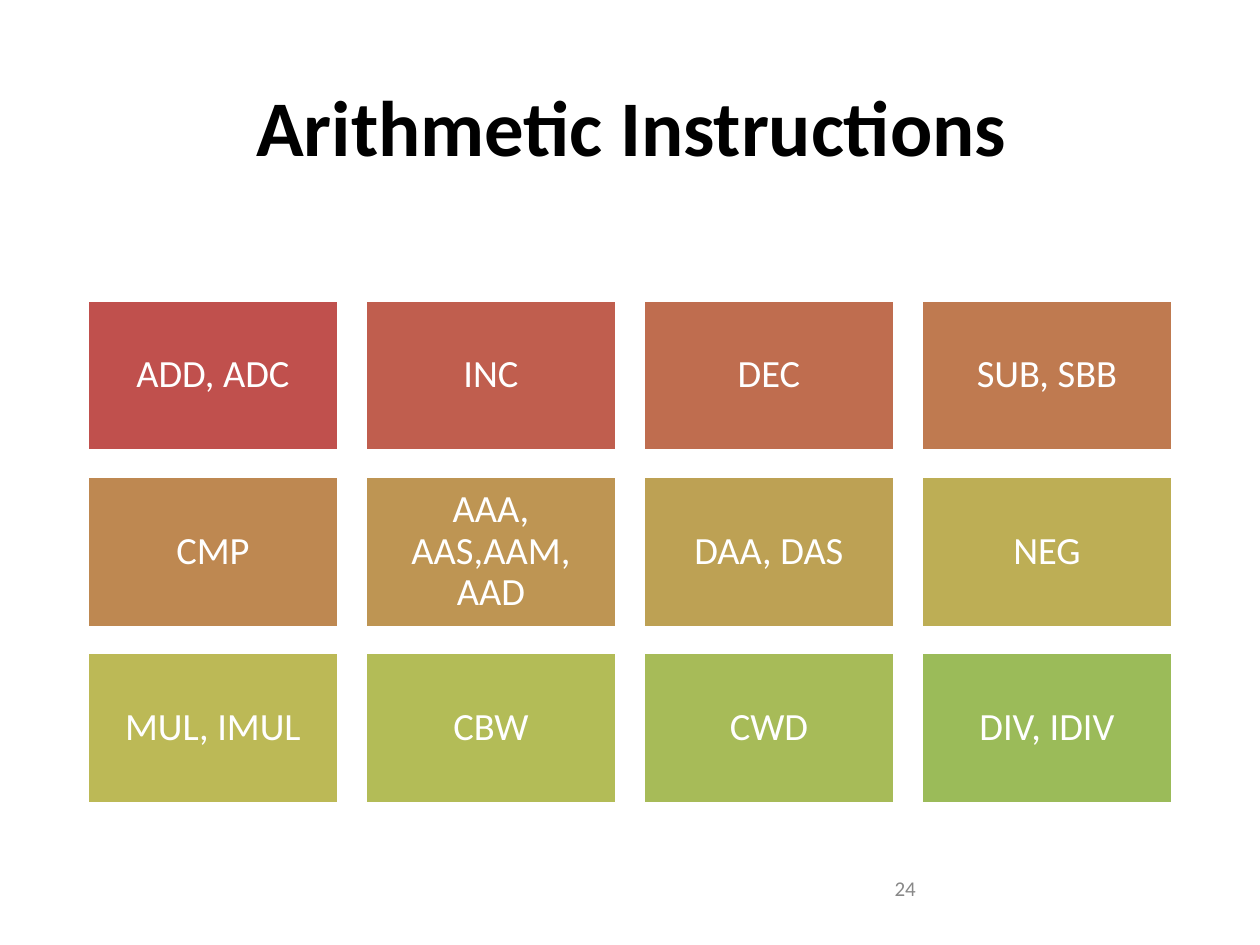
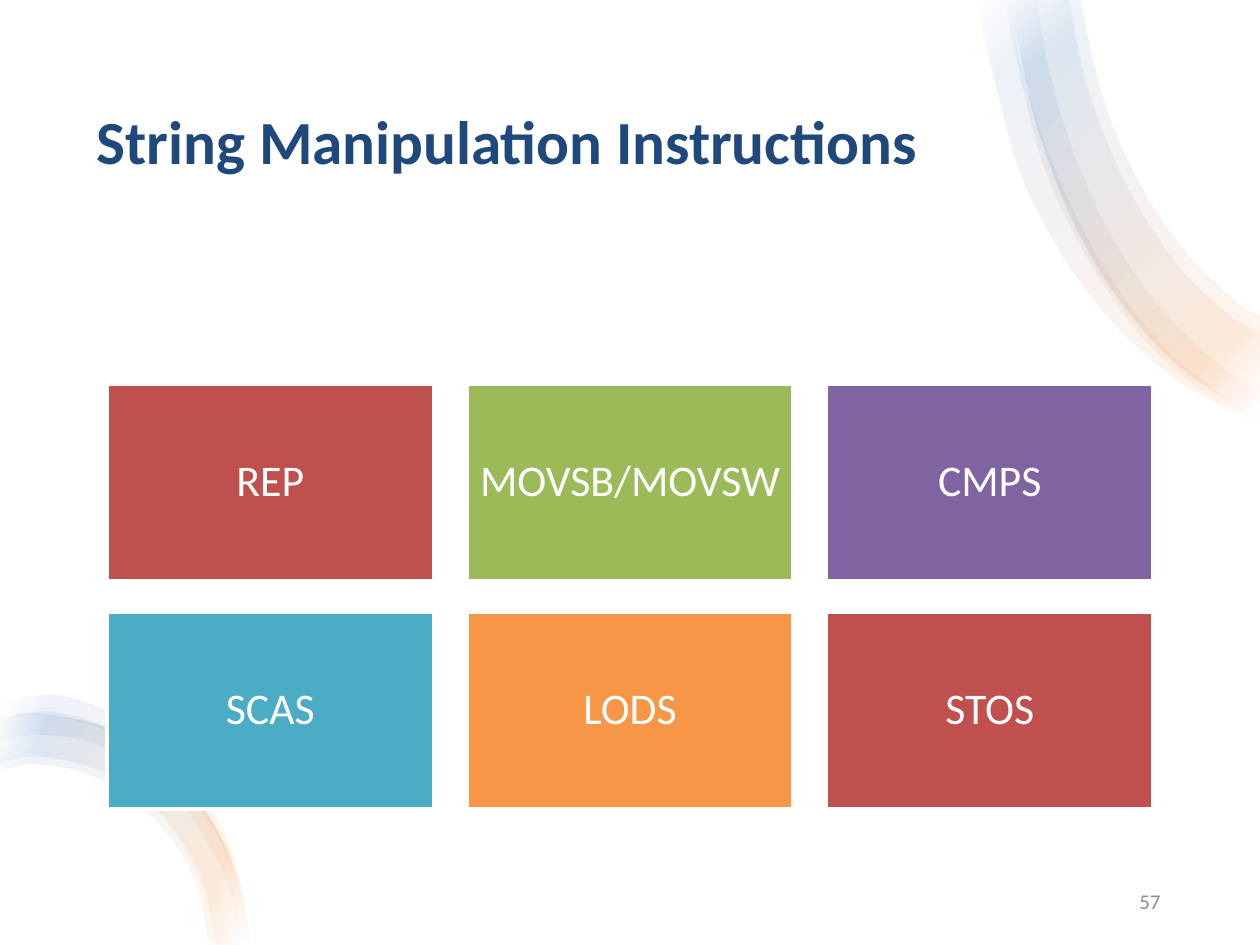
import colorsys
from dataclasses import dataclass

from lxml import etree
from pptx import Presentation
from pptx import util as u
from pptx.dml.color import RGBColor
from pptx.enum import shapes, text
from pptx.oxml import ns

# Shared style
FONT = "Calibri"
WHITE = RGBColor(0xFF, 0xFF, 0xFF)
BLACK = RGBColor(0x00, 0x00, 0x00)
NAVY = RGBColor(0x1F, 0x49, 0x7D)
GREY = RGBColor(0x88, 0x88, 0x88)
LIGHT_GREY = RGBColor(0x8C, 0x8C, 0x8C)
RED = RGBColor(0xC0, 0x50, 0x4D)
GREEN = RGBColor(0x9B, 0xBB, 0x59)
PURPLE = RGBColor(0x80, 0x64, 0xA2)
TEAL = RGBColor(0x4B, 0xAC, 0xC6)
ORANGE = RGBColor(0xF7, 0x96, 0x46)
BLUE = RGBColor(0x4F, 0x81, 0xBD)

BAND_STOPS = [(2, WHITE), (16, ORANGE), (85, BLUE), (100, WHITE)]
BAND_OPACITY = 10

Point = tuple[float, float]
Box = tuple[float, float, float, float]


@dataclass
class TextStyle:
    size: float
    color: RGBColor
    bold: bool = False
    align: text.PP_ALIGN = text.PP_ALIGN.LEFT
    anchor: text.MSO_ANCHOR = text.MSO_ANCHOR.MIDDLE
    margins: Box = (0.1, 0.05, 0.1, 0.05)
    line_spacing: float = 1.0
    tracking: float = 0


@dataclass
class CardGrid:
    area: Box
    card: tuple[float, float]
    columns: int
    size: float
    labels: list[str]
    colors: list[RGBColor]


@dataclass
class Band:
    outer: list[Point]
    inner: list[Point]


@dataclass
class Page:
    title: str
    title_box: Box
    title_style: TextStyle
    number: str
    number_style: TextStyle
    grid: CardGrid


def place(box: Box) -> list[u.Length]:
    return [u.Inches(value) for value in box]


def write(frame, content: str, style: TextStyle) -> None:
    left, top, right, bottom = place(style.margins)
    para = frame.paragraphs[0]
    span = para.add_run()
    span.text = content
    formats = [
        (frame, dict(word_wrap=True, auto_size=text.MSO_AUTO_SIZE.NONE,
                     vertical_anchor=style.anchor, margin_left=left,
                     margin_top=top, margin_right=right, margin_bottom=bottom)),
        (para, dict(alignment=style.align, line_spacing=style.line_spacing)),
        (span.font, dict(name=FONT, size=u.Pt(style.size), bold=style.bold)),
    ]
    for target, values in formats:
        for name, value in values.items():
            setattr(target, name, value)
    span.font.color.rgb = style.color
    if style.tracking:
        span.font._element.set("spc", str(round(style.tracking * 100)))


def hue_ramp(first: RGBColor, last: RGBColor, count: int) -> list[RGBColor]:
    """Blend two colours evenly in hue, lightness and saturation."""
    start, end = (colorsys.rgb_to_hls(*(part / 255 for part in color))
                  for color in (first, last))
    ramp = []
    for index in range(count):
        share = index / (count - 1)
        hls = [a + (b - a) * share for a, b in zip(start, end)]
        ramp.append(RGBColor(*(round(part * 255) for part in colorsys.hls_to_rgb(*hls))))
    return ramp


def add_rectangle(slide, box: Box, color: RGBColor):
    rectangle = slide.shapes.add_shape(shapes.MSO_SHAPE.RECTANGLE, *place(box))
    rectangle.shadow.inherit = False
    rectangle.fill.solid()
    rectangle.fill.fore_color.rgb = color
    return rectangle


def draw_cards(slide, grid: CardGrid) -> None:
    left, top, width, height = grid.area
    card_width, card_height = grid.card
    rows = len(grid.labels) // grid.columns
    step_x = (width - card_width) / (grid.columns - 1)
    step_y = (height - card_height) / (rows - 1)
    style = TextStyle(grid.size, WHITE, align=text.PP_ALIGN.CENTER,
                      margins=(0.09,) * 4, line_spacing=0.9)
    for index, (label, color) in enumerate(zip(grid.labels, grid.colors)):
        row, column = divmod(index, grid.columns)
        box = (left + column * step_x, top + row * step_y, card_width, card_height)
        card = add_rectangle(slide, box, color)
        card.line.color.rgb = WHITE
        card.line.width = u.Pt(2)
        write(card.text_frame, label, style)


def curve_edge(sides: list) -> None:
    """Turn the straight sides after the first knot into smooth Bezier curves."""
    knots = [(int(side[0].get("x")), int(side[0].get("y"))) for side in sides]
    padded = [knots[0], *knots, knots[-1]]
    for index, side in enumerate(sides[1:]):
        before, start, end, after = padded[index:index + 4]
        first = [s + (e - b) / 6 for b, s, e in zip(before, start, end)]
        second = [e - (a - s) / 6 for s, e, a in zip(start, end, after)]
        curve = etree.Element(ns.qn("a:cubicBezTo"))
        for x, y in (first, second, end):
            etree.SubElement(curve, ns.qn("a:pt"), x=str(round(x)), y=str(round(y)))
        side.getparent().replace(side, curve)


def fill_band(shape, angle: int) -> None:
    shape.fill.gradient()
    shape.fill.gradient_angle = 360 - angle
    stops = shape._element.spPr.find(ns.qn("a:gradFill")).find(ns.qn("a:gsLst"))
    for stop in list(stops):
        stops.remove(stop)
    for position, color in BAND_STOPS:
        stop = etree.SubElement(stops, ns.qn("a:gs"), pos=str(position * 1000))
        tone = etree.SubElement(stop, ns.qn("a:srgbClr"), val=str(color))
        etree.SubElement(tone, ns.qn("a:alpha"), val=str(BAND_OPACITY * 1000))


def draw_swoosh(slide, bands: list[Band], angle: int) -> None:
    for band in bands:
        knots = [(u.Inches(x), u.Inches(y)) for x, y in band.outer + band.inner]
        builder = slide.shapes.build_freeform(*knots[0])
        builder.add_line_segments(knots[1:], close=True)
        shape = builder.convert_to_shape()
        shape.shadow.inherit = False
        shape.line.fill.background()
        sides = list(next(shape._element.iter(ns.qn("a:path"))))[:len(knots)]
        split = len(band.outer)
        curve_edge(sides[:split])
        curve_edge(sides[split:])
        fill_band(shape, angle)


def add_page(deck, page: Page, swooshes: list[tuple[list[Band], int]]) -> None:
    slide = deck.slides.add_slide(deck.slide_layouts[5])
    title = slide.shapes.title
    title.left, title.top, title.width, title.height = place(page.title_box)
    write(title.text_frame, page.title, page.title_style)
    if swooshes:
        backdrop = add_rectangle(slide, (0, 0, 10, 7.5), WHITE)
        backdrop.line.fill.background()
        title._element.addprevious(backdrop._element)
    for bands, angle in swooshes:
        draw_swoosh(slide, bands, angle)
    number = slide.shapes.add_textbox(*place(NUMBER_BOX))
    write(number.text_frame, page.number, page.number_style)
    draw_cards(slide, page.grid)


# Corner swooshes: outer edge one way, inner edge back
TOP_EDGE = [(10, 3.32), (9.82, 3.24), (9.18, 2.74), (8.64, 2), (8.25, 1.07),
            (8.02, 0.04), (8, -0.09)]
TOP_BANDS = [
    Band([(10, 3.35), (9.62, 3.19), (9.16, 2.87), (8.74, 2.45), (8.37, 1.92),
          (8.08, 1.31), (7.81, 0.26), (7.77, -0.09)],
         [(8.01, -0.09), (8.11, 0.52), (8.3, 1.15), (8.55, 1.73), (8.86, 2.27),
          (9.22, 2.73), (9.65, 3.1), (9.88, 3.23), (10, 3.28)]),
    Band(TOP_EDGE,
         [(8.56, -0.09), (8.69, 0.55), (8.88, 1.12), (9.15, 1.64), (9.46, 2.06),
          (9.8, 2.38), (10, 2.51)]),
    Band([(10, 3.33), (9.82, 3.27), (9.59, 3.14), (9.17, 2.79), (8.8, 2.33),
          (8.49, 1.79), (8.24, 1.19), (8.01, 0.2), (7.97, -0.09)],
         [(8.22, -0.09), (8.3, 0.44), (8.46, 1.04), (8.68, 1.6), (8.96, 2.11),
          (9.3, 2.55), (9.68, 2.9), (9.88, 3.03), (10, 3.08)]),
    Band(TOP_EDGE,
         [(8.47, -0.09), (8.6, 0.59), (8.81, 1.19), (9.08, 1.72), (9.4, 2.17),
          (9.76, 2.5), (10, 2.64)]),
]
BOTTOM_EDGE = [(1.97, 7.5), (1.96, 7.35), (1.77, 6.69), (1.39, 6.16), (0.88, 5.8),
               (0.3, 5.67), (0, 5.72)]
BOTTOM_BANDS = [
    Band(BOTTOM_EDGE,
         [(0, 6.13), (0.3, 6.07), (0.8, 6.19), (1.24, 6.52), (1.55, 7), (1.65, 7.5)]),
    Band(BOTTOM_EDGE,
         [(0, 6.06), (0.3, 6.01), (0.82, 6.13), (1.28, 6.47), (1.59, 6.97), (1.71, 7.5)]),
    Band([(1.97, 7.5), (1.94, 7.19), (1.85, 6.85), (1.52, 6.27), (1.06, 5.87),
          (0.52, 5.67), (0.24, 5.66), (0, 5.71)],
         [(0, 5.88), (0.24, 5.84), (0.5, 5.85), (0.76, 5.91), (1, 6.03),
          (1.44, 6.39), (1.76, 6.91), (1.85, 7.21), (1.88, 7.5)]),
    Band([(1.98, 7.5), (1.97, 7.4), (1.87, 6.87), (1.74, 6.53), (1.57, 6.23),
          (1.36, 5.97), (1.11, 5.75), (0.53, 5.53), (0.23, 5.53), (0, 5.59)],
         [(0, 5.72), (0.24, 5.68), (0.52, 5.7), (0.79, 5.78), (1.04, 5.91),
          (1.28, 6.09), (1.5, 6.31), (1.69, 6.58), (1.84, 6.89), (1.93, 7.22),
          (1.96, 7.5)]),
]

# Page content
NUMBER_BOX = (7.06, 6.95, 2.25, 0.4)
ARITHMETIC = ["ADD, ADC", "INC", "DEC", "SUB, SBB",
              "CMP", "AAA, AAS,AAM, AAD", "DAA, DAS", "NEG",
              "MUL, IMUL", "CBW", "CWD", "DIV, IDIV"]
ARITHMETIC_PAGE = Page(
    "Arithmetic Instructions", (0.69, 0.61, 8.62, 1.24),
    TextStyle(45, BLACK, True, text.PP_ALIGN.CENTER, text.MSO_ANCHOR.TOP,
              (0.02, 0.01, 0, 0), tracking=-0.05),
    "24", TextStyle(12, GREY, anchor=text.MSO_ANCHOR.TOP, margins=(0.04, 0, 0, 0)),
    CardGrid((0.69, 2.38, 8.62, 4), (2, 1.2), 4, 22, ARITHMETIC,
             hue_ramp(RED, GREEN, len(ARITHMETIC))))
STRING_PAGE = Page(
    "String Manipulation Instructions", (0.66, 0.5, 8.68, 1.3),
    TextStyle(35, NAVY, True, margins=(0.11, 0.05, 0.1, 0.05),
              line_spacing=0.9, tracking=-0.05),
    "57", TextStyle(12, LIGHT_GREY, align=text.PP_ALIGN.RIGHT),
    CardGrid((0.85, 3.05, 8.3, 3.37), (2.59, 1.56), 3, 25,
             ["REP", "MOVSB/MOVSW", "CMPS", "SCAS", "LODS", "STOS"],
             [RED, GREEN, PURPLE, TEAL, ORANGE, RED]))


def main() -> None:
    deck = Presentation()
    deck.slide_width, deck.slide_height = u.Inches(10), u.Inches(7.5)
    add_page(deck, ARITHMETIC_PAGE, [])
    add_page(deck, STRING_PAGE, [(TOP_BANDS, 225), (BOTTOM_BANDS, 200)])
    deck.save("out.pptx")


if __name__ == "__main__":
    main()
